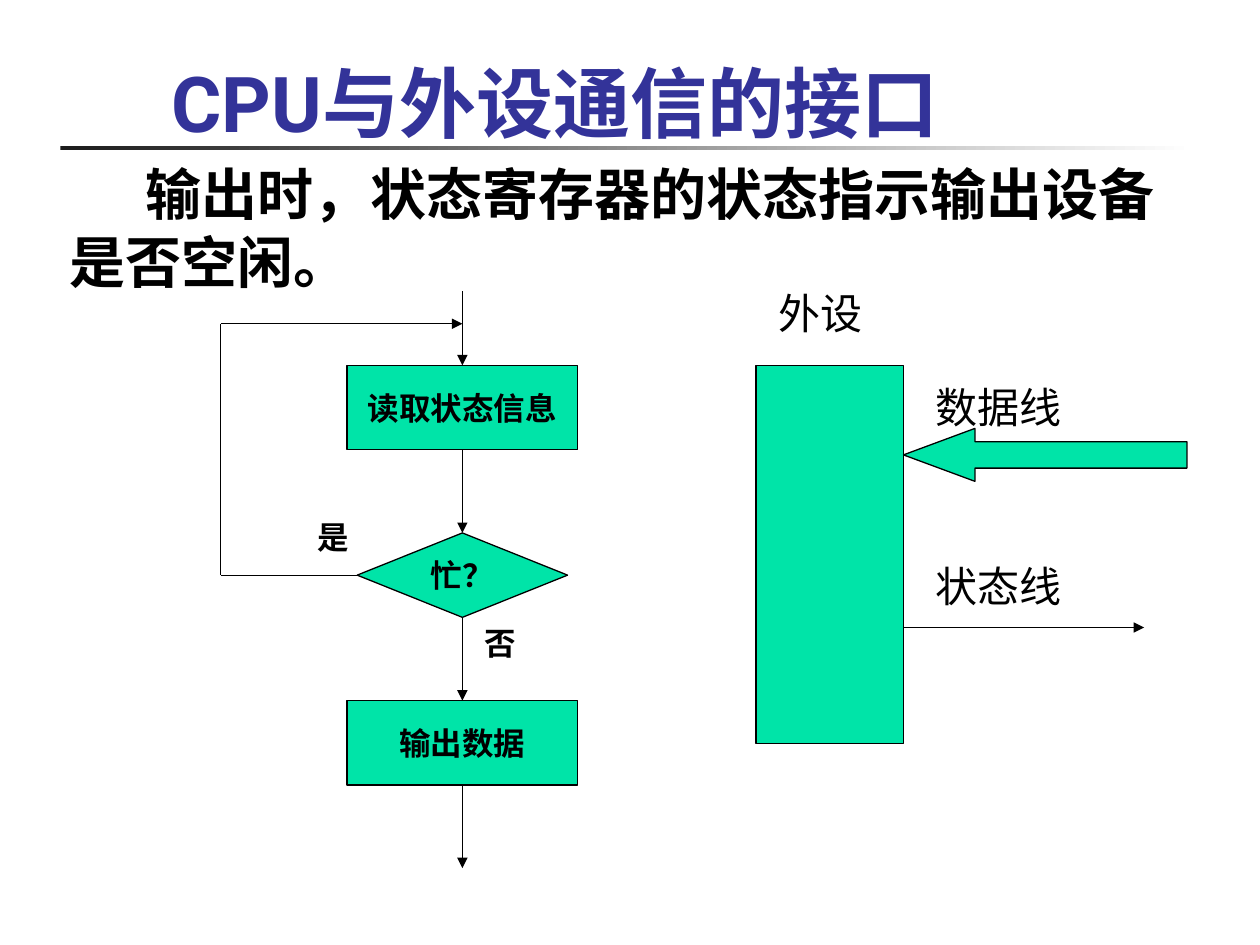
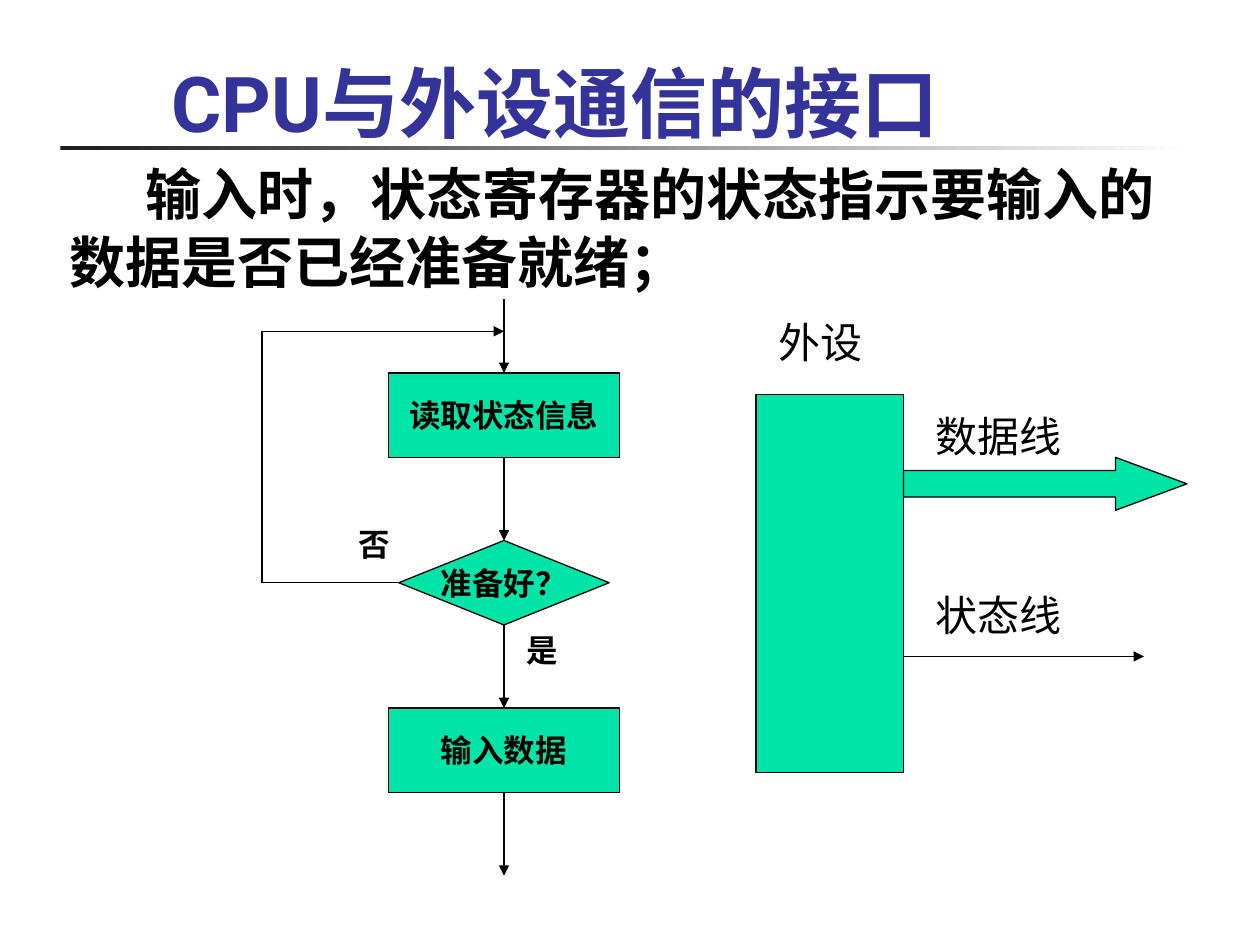
import pptx
import pptx.util
import pptx.dml.color
import pptx.enum.dml
import pptx.enum.lang
import pptx.enum.shapes
import pptx.enum.text
import pptx.oxml
import pptx.oxml.ns

Inches = pptx.util.Inches
Pt = pptx.util.Pt
Kind = pptx.enum.shapes.MSO_SHAPE
Anchor = pptx.enum.text.MSO_ANCHOR
Align = pptx.enum.text.PP_ALIGN

COLORS = {"ink": "000000", "title": "333399", "fill": "00E4A8",
          "dark": "1C1C1C", "light": "FFFFFF"}
TOP, LEFT, BOTTOM = 0, 1, 2


def color(name):
    return pptx.dml.color.RGBColor.from_string(COLORS[name])


class Deck:
    def __init__(self):
        self.prs = pptx.Presentation()
        self.prs.slide_width = Inches(10)
        self.prs.slide_height = Inches(7.5)
        self.slide = None

    def page(self, title, body):
        self.slide = self.prs.slides.add_slide(self.prs.slide_layouts[6])
        self.band()
        self.text(body, 0.45, 1.22, 9.11, 5.47, 32, "Roboto", True, indent=0.61)
        self.text(title, 1.26, 0.22, 8.52, 1, 44, "Roboto", True, "title",
                  anchor=Anchor.BOTTOM)

    def band(self):
        band = self.slide.shapes.add_shape(
            Kind.RECTANGLE, Inches(0.48), Inches(1.16), Inches(9), Inches(0.03))
        band.shadow.inherit = False
        band.line.fill.background()
        band.fill.gradient()
        band.fill.gradient_angle = 0
        for stop, name, place in zip(band.fill.gradient_stops, ("dark", "light"), (0, 1)):
            stop.color.rgb = color(name)
            stop.position = place

    def label(self, shape, words, size, font, bold, ink="ink"):
        frame = shape.text_frame
        frame.text = words
        for run in frame.paragraphs[0].runs:
            run.font.size = Pt(size)
            run.font.name = font
            run.font.bold = bold
            run.font.color.rgb = color(ink)
            run.font.language_id = pptx.enum.lang.MSO_LANGUAGE_ID.SIMPLIFIED_CHINESE
        return frame

    def text(self, words, x, y, w, h, size, font, bold=False, ink="ink",
             anchor=Anchor.TOP, indent=0):
        box = self.slide.shapes.add_textbox(Inches(x), Inches(y), Inches(w), Inches(h))
        frame = self.label(box, words, size, font, bold, ink)
        frame.word_wrap = True
        frame.vertical_anchor = anchor
        if indent:
            props = frame.paragraphs[0]._p.get_or_add_pPr()
            props.set("marL", "0")
            props.set("indent", str(Inches(indent)))

    def shape(self, kind, x, y, w, h, words=""):
        shape = self.slide.shapes.add_shape(kind, Inches(x), Inches(y), Inches(w), Inches(h))
        shape.shadow.inherit = False
        shape.fill.solid()
        shape.fill.fore_color.rgb = color("fill")
        shape.line.color.rgb = color("ink")
        shape.line.width = Pt(0.75)
        if words:
            frame = self.label(shape, words, 18, "Arial", True)
            frame.word_wrap = False
            frame.vertical_anchor = Anchor.MIDDLE
            frame.paragraphs[0].alignment = Align.CENTER
        return shape

    def line(self, start, end, tip=True, source=None, target=None):
        line = self.slide.shapes.add_connector(
            pptx.enum.shapes.MSO_CONNECTOR.STRAIGHT, *map(Inches, start + end))
        line.line.color.rgb = color("ink")
        line.line.width = Pt(0.75)
        if source:
            line.begin_connect(*source)
        if target:
            line.end_connect(*target)
        if tip:
            tail = pptx.oxml.parse_xml(
                f'<a:tailEnd {pptx.oxml.ns.nsdecls("a")} type="triangle"/>')
            line.line._get_or_add_ln().append(tail)
        line._element.spPr.append(
            pptx.oxml.parse_xml(f'<a:effectLst {pptx.oxml.ns.nsdecls("a")}/>'))

    def flow(self, mid, top, test, last, back, down):
        step, high = 1.33, 0.67
        tops = [top + step * i for i in range(4)]
        parts = ((Kind.RECTANGLE, 1.83, "读取状态信息"),
                 (Kind.FLOWCHART_DECISION, 1.67, test),
                 (Kind.RECTANGLE, 1.83, last))
        nodes = [self.shape(kind, mid - w / 2, y, w, high, words)
                 for (kind, w, words), y in zip(parts, tops)]
        self.line((mid, top - 0.59), (mid, top), target=(nodes[0], TOP))
        for i, node in enumerate(nodes):
            goal = (nodes[i + 1], TOP) if i < 2 else None
            self.line((mid, tops[i] + high), (mid, tops[i + 1]),
                      source=(node, BOTTOM), target=goal)
        side, low, peak = mid - 1.92, tops[1] + high / 2, top - 0.33
        self.line((mid - 0.83, low), (side, low), False, source=(nodes[1], LEFT))
        self.line((side, low), (side, peak), False)
        self.line((side, peak), (mid, peak))
        self.text(back, mid - 1.25, top + 1.16, 0.58, 0.4, 18, "Arial", True)
        self.text(down, mid + 0.08, top + 2, 0.58, 0.4, 18, "Arial", True)

    def device(self, top, turn):
        self.shape(Kind.RECTANGLE, 6, top, 1.17, 3)
        arrow = self.shape(Kind.RIGHT_ARROW, 7.17, top + 0.5, 2.25, 0.42)
        arrow.adjustments[0] = 0.5
        arrow.adjustments[1] = 1.35
        arrow.rotation = turn
        self.line((7.17, top + 2.08), (9.08, top + 2.08))
        for words, x, drop, w in (("外设", 6.08, -0.67, 1.25),
                                  ("数据线", 7.33, 0.08, 1.33),
                                  ("状态线", 7.33, 1.5, 1.33)):
            self.text(words, x, top + drop, w, 0.5, 24, "Times New Roman")


def main():
    deck = Deck()
    title = "CPU与外设通信的接口"

    deck.page(title, "输出时，状态寄存器的状态指示输出设备是否空闲。")
    deck.flow(3.67, 2.9, "忙？", "输出数据", back="是", down="否")
    deck.device(2.9, 180)

    deck.page(title, "输入时，状态寄存器的状态指示要输入的数据是否已经准备就绪；")
    deck.flow(4, 2.96, "准备好？", "输入数据", back="否", down="是")
    deck.device(3.13, 0)

    deck.prs.save("out.pptx")


if __name__ == "__main__":
    main()
